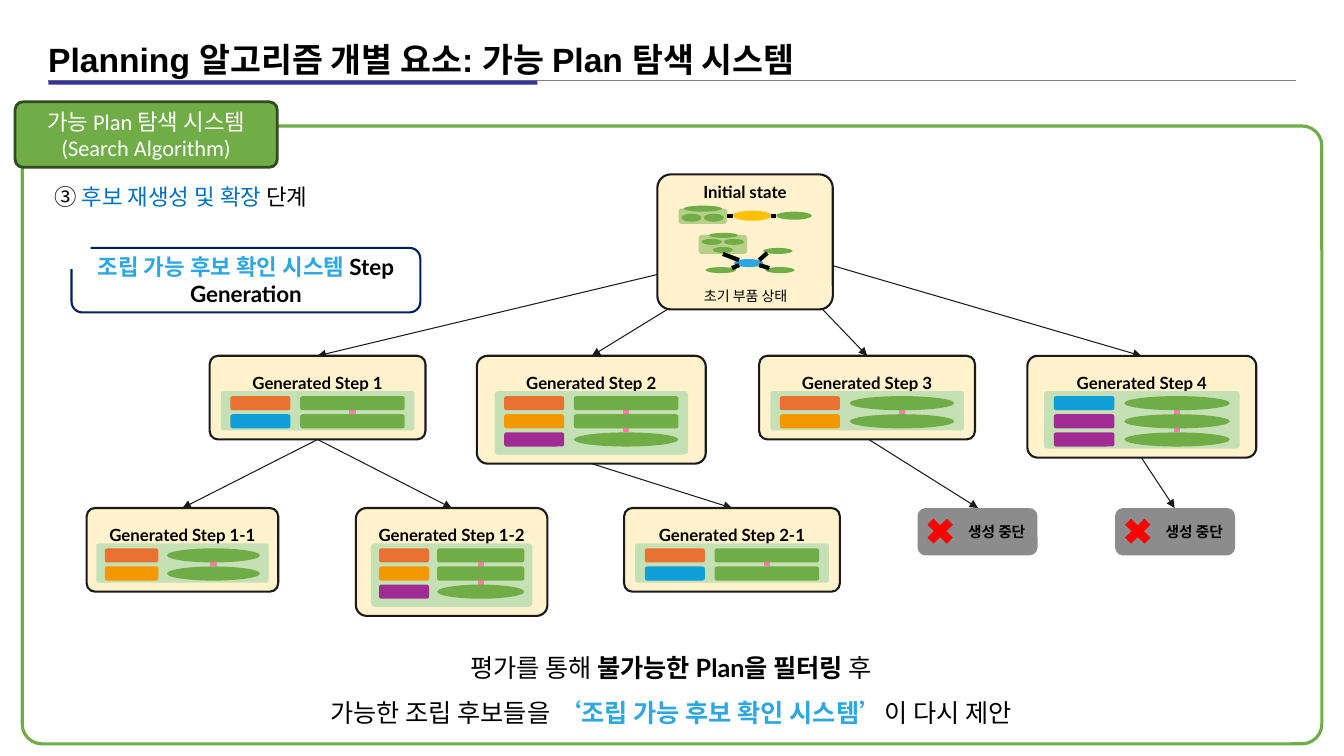
from lxml import etree
from pptx import Presentation
from pptx import util as u
from pptx.dml.color import RGBColor
from pptx.enum import shapes, text
from pptx.oxml import ns

COLORS = {
    "black": "000000", "white": "FFFFFF", "ink": "1A1A1A", "gray": "808080",
    "stop": "8C8C8C", "red": "FF0000", "navy": "002060", "indigo": "333399",
    "green": "70AD47", "dark green": "314C1F", "pale green": "C5E0B4",
    "cream": "FFF2CC", "orange": "E97132", "amber": "F39800", "gold": "FFC000",
    "blue": "0F9ED5", "sky": "2EA7E0", "link": "0070C0", "purple": "A02B93",
    "pink": "FF79A9",
}
KINDS = shapes.MSO_SHAPE
ROUND, OVAL, RECT = KINDS.ROUNDED_RECTANGLE, KINDS.OVAL, KINDS.RECTANGLE
LINE, TEXT = "line", "text"

presentation = Presentation()
presentation.slide_width = u.Inches(13.33)
presentation.slide_height = u.Inches(7.5)
slide = presentation.slides.add_slide(presentation.slide_layouts[6])


def draw(kind, place, fill=None, line=None, weight=1.5, adjust=None, alpha=None, arrow=False):
    lengths = [u.Inches(value) for value in place]
    if kind == TEXT:
        return slide.shapes.add_textbox(*lengths)
    if kind == LINE:
        shape = slide.shapes.add_connector(shapes.MSO_CONNECTOR.STRAIGHT, *lengths)
    else:
        shape = slide.shapes.add_shape(kind, *lengths)
        shape.shadow.inherit = False
        if fill:
            shape.fill.solid()
            shape.fill.fore_color.rgb = RGBColor.from_string(COLORS[fill])
        else:
            shape.fill.background()
        if alpha:
            color = shape.fill._xPr.find(".//" + ns.qn("a:srgbClr"))
            etree.SubElement(color, ns.qn("a:alpha"), val=str(alpha * 1000))
        if adjust is not None:
            shape.adjustments[0] = adjust
    if line:
        shape.line.color.rgb = RGBColor.from_string(COLORS[line])
        shape.line.width = u.Pt(weight)
    else:
        shape.line.fill.background()
    if kind == LINE:
        if arrow:
            etree.SubElement(shape.line._get_or_add_ln(), ns.qn("a:tailEnd"), type="triangle")
        etree.SubElement(shape._element.spPr, ns.qn("a:effectLst"))
    return shape


def write(shape, paragraphs, size, font="Lato", color="black", bold=False, align="CENTER",
          anchor="TOP", left=0.1, before=0, spacing=None):
    frame = shape.text_frame
    frame.word_wrap = True
    frame.margin_left = u.Inches(left)
    frame.vertical_anchor = getattr(text.MSO_ANCHOR, anchor)
    for index, runs in enumerate(paragraphs):
        paragraph = frame.add_paragraph() if index else frame.paragraphs[0]
        paragraph.alignment = getattr(text.PP_ALIGN, align)
        paragraph.space_before = u.Pt(before)
        if spacing:
            paragraph.line_spacing = spacing
        for words, *style in runs:
            run = paragraph.add_run()
            run.text = words
            run.font.size = u.Pt(size)
            run.font.name = font
            run_color, run_bold = style or (color, bold)
            run.font.bold = run_bold
            run.font.color.rgb = RGBColor.from_string(COLORS[run_color])


draw(ROUND, (0.22, 1.25, 12.89, 6.13), line="green", weight=2.25, adjust=0.032)

arrows = [
    (6.83, 2.94, 5.87, 3.53), (8, 2.56, 11.32, 3.53), (6.66, 2.69, 3.15, 3.53),
    (7.47, 2.35, 8.6, 3.53), (8.6, 4.35, 9.7, 5.04), (11.32, 4.54, 11.65, 5.04),
    (3.15, 4.36, 1.81, 5.04), (3.15, 4.36, 4.48, 5.04), (5.87, 4.6, 7.26, 5.04),
]
for ends in arrows:
    draw(LINE, ends, line="ink", weight=0.75, arrow=True)

stage = draw(TEXT, (0.15, 1.77, 10.28, 0.46))
write(stage, [[("③ ",), ("후보 재생성 및 확장", "link", False), (" 단계",)]], 16,
      align="LEFT", left=0.39, before=6)
title = draw(TEXT, (0.38, 0.34, 10.22, 0.5))
write(title, [[("Planning 알고리즘 개별 요소: 가능 Plan 탐색 시스템",)]], 24,
      font="Arial", bold=True, align="LEFT")
draw(LINE, (0.48, 0.8, 12.85, 0.8), line="gray", weight=1)
draw(RECT, (0.48, 0.8, 4.85, 0.04), fill="indigo")
section = draw(ROUND, (0.15, 1.01, 2.6, 0.65), fill="green", line="dark green", weight=2, adjust=0.12)
write(section, [[("가능 Plan 탐색 시스템",)], [("(Search Algorithm)",)]], 16,
      font="Calibri", color="white", anchor="MIDDLE")

orange, amber, blue, purple = "orange", "amber", "blue", "purple"
steps = [
    ("1", 2.08, 3.53, 2.14, 0.83, 1.92, [(orange, ROUND), (blue, ROUND)]),
    ("2", 4.73, 3.53, 2.27, 1.07, 1.92, [(orange, ROUND), (amber, ROUND), (purple, OVAL)]),
    ("3", 7.53, 3.53, 2.14, 0.83, 1.92, [(orange, OVAL), (amber, OVAL)]),
    ("4", 10.19, 3.53, 2.27, 1.01, 1.94, [(blue, OVAL), (purple, OVAL), (purple, OVAL)]),
    ("1-1", 0.86, 5.04, 1.9, 0.83, 1.71, [(orange, OVAL), (amber, OVAL)]),
    ("1-2", 3.53, 5.04, 1.9, 1.07, 1.6, [(orange, ROUND), (amber, ROUND), (purple, OVAL)]),
    ("2-1", 6.19, 5.04, 2.14, 0.83, 1.92, [(orange, ROUND), (blue, ROUND)]),
]
row_height, row_pitch = 0.14, 0.18
for number, left, top, width, height, panel_width, rows in steps:
    draw(ROUND, (left, top, width, height), fill="cream", line="ink", adjust=0.1)
    heading = draw(TEXT, (left, top, width, 0.39))
    write(heading, [[(f"Generated Step {number}",)]], 12, bold=True, before=2.4, spacing=1.6)
    panel_left = left + (width - panel_width) / 2
    draw(ROUND, (panel_left, top + 0.35, panel_width, height - 0.44), fill="pale green", adjust=0.06)
    first_row = top + 0.4
    last_row = first_row + row_pitch * (len(rows) - 1)
    link = panel_left + panel_width * 0.68
    draw(LINE, (link, first_row + row_height, link, last_row), line="pink", weight=4.5)
    for index, (color, part) in enumerate(rows):
        row_top = first_row + row_pitch * index
        draw(ROUND, (panel_left + panel_width * 0.05, row_top, panel_width * 0.31, row_height), fill=color)
        draw(part, (panel_left + panel_width * 0.41, row_top, panel_width * 0.54, row_height), fill="green")

draw(ROUND, (6.52, 1.73, 1.74, 1.34), fill="cream", line="ink", adjust=0.1)
initial = draw(TEXT, (6.67, 1.63, 1.44, 0.64))
write(initial, [[("Initial state",)]], 12, bold=True, before=2.4, spacing=1.6)
for tray in [(6.73, 2.07, 0.48, 0.15), (6.93, 2.33, 0.48, 0.19)]:
    draw(ROUND, tray, fill="green", alpha=50)
parts = [
    (7.7, 2.1, 0.35, 0.08), (6.78, 2.04, 0.38, 0.06), (6.76, 2.12, 0.2, 0.08),
    (6.98, 2.12, 0.2, 0.08), (6.96, 2.37, 0.2, 0.06), (7.18, 2.37, 0.2, 0.06),
    (7.07, 2.45, 0.2, 0.06), (7.03, 2.31, 0.29, 0.05), (7.57, 2.46, 0.29, 0.06),
    (7.59, 2.65, 0.29, 0.06), (7, 2.65, 0.3, 0.06),
]
for part in parts:
    draw(OVAL, part, fill="green")
draw(OVAL, (7.27, 2.09, 0.38, 0.1), fill="gold")
draw(OVAL, (7.28, 2.57, 0.29, 0.08), fill="sky")
joints = [
    (7.21, 2.14, 7.27, 2.14), (7.7, 2.14, 7.65, 2.14), (7.17, 2.52, 7.33, 2.58),
    (7.53, 2.58, 7.61, 2.51), (7.63, 2.66, 7.53, 2.63), (7.26, 2.66, 7.33, 2.63),
]
for joint in joints:
    draw(LINE, joint, line="black", weight=3)
caption = draw(TEXT, (6.62, 2.8, 1.55, 0.18))
write(caption, [[("초기 부품 상태",)]], 10, font="Calibri")

for left in (9.1, 11.06):
    stop = draw(ROUND, (left, 5.04, 1.19, 0.47), fill="stop")
    write(stop, [[("생성 중단",)]], 10.5, bold=True, align="RIGHT", anchor="MIDDLE")
    draw(KINDS.MATH_MULTIPLY, (left + 0.04, 5.09, 0.37, 0.36), fill="red")

generation = draw(ROUND, (0.71, 2.46, 3.46, 0.64), fill="white", line="navy")
write(generation, [[("조립 가능 후보 확인 시스템 ", "sky", True), ("Step Generation",)]], 16,
      bold=True, anchor="MIDDLE")
draw(KINDS.CAN, (0.46, 2.16, 0.44, 0.51), fill="white", adjust=0.33)

summary = draw(TEXT, (0.69, 6.27, 11.93, 0.95))
write(summary, [
    [("평가를 통해 ",), ("불가능한 Plan을 필터링 ", "black", True), ("후",)],
    [("가능한 조립 후보들을 ",), ("‘조립 가능 후보 확인 시스템’", "sky", True), ("이 다시 제안",)],
], 18, spacing=1.5)

presentation.save("out.pptx")
